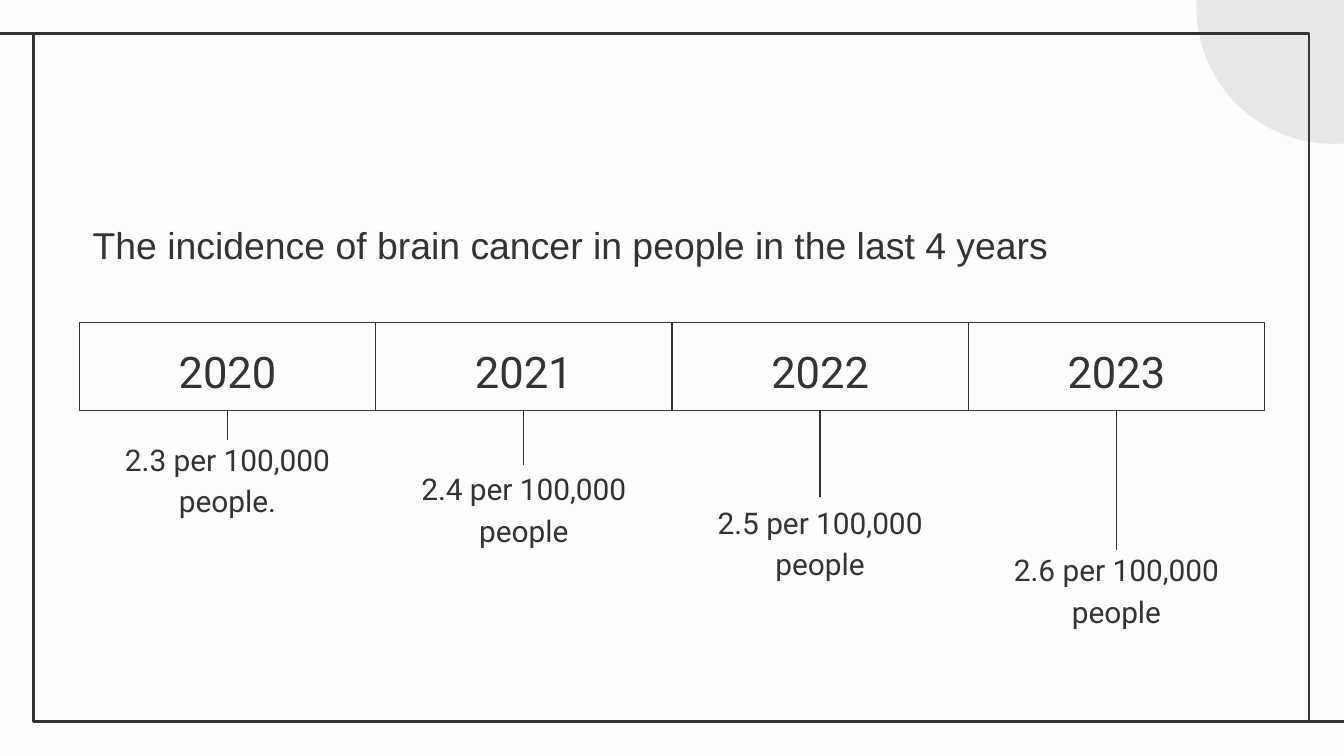
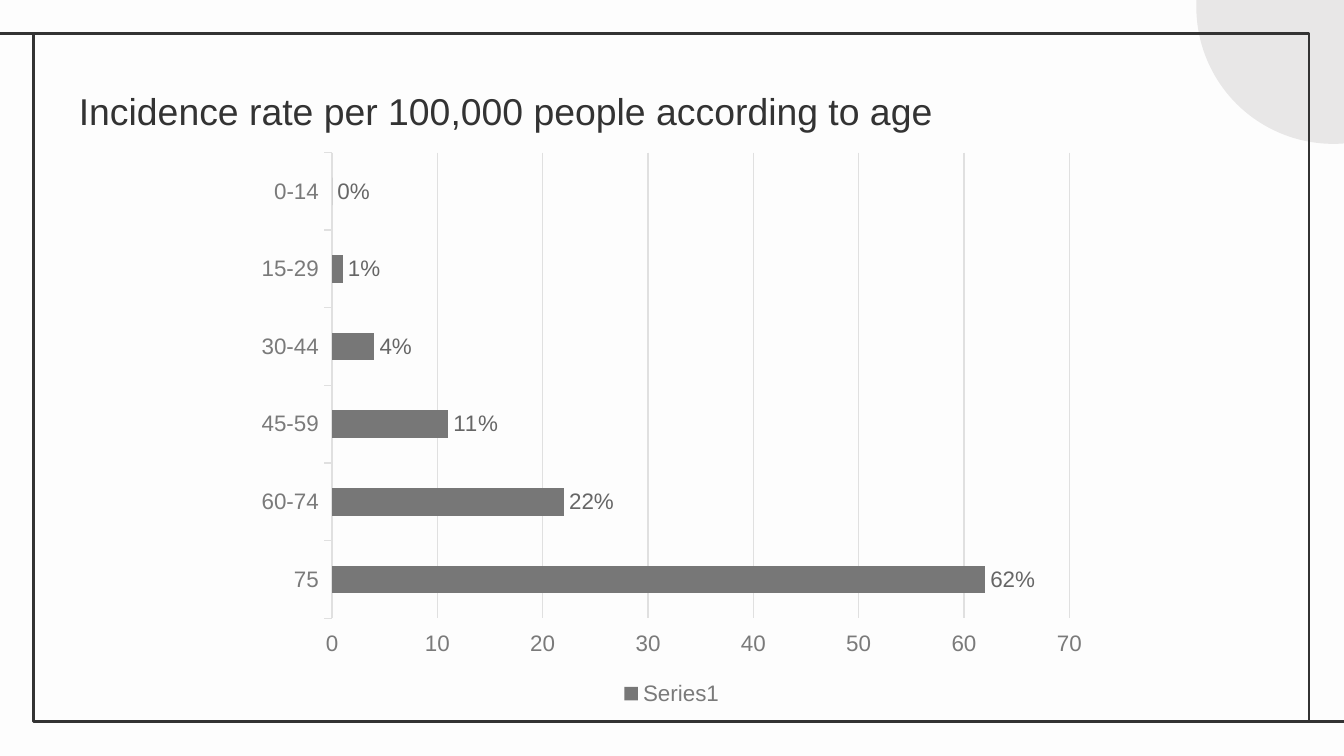
from lxml import etree
from pptx import Presentation
from pptx.chart.data import CategoryChartData
from pptx.dml.color import RGBColor
from pptx.enum.chart import XL_CHART_TYPE, XL_LABEL_POSITION, XL_LEGEND_POSITION, XL_TICK_MARK
from pptx.enum.shapes import MSO_CONNECTOR as CONNECTOR, MSO_SHAPE as SHAPE
from pptx.enum.text import MSO_ANCHOR as ANCHOR, MSO_AUTO_SIZE as AUTO_SIZE, PP_ALIGN as ALIGN
from pptx.oxml.ns import qn
from pptx.util import Cm, Pt

COLORS = {
    "background": "FDFDFD",
    "ink": "333333",
    "circle": "E8E7E7",
    "bar": "777777",
    "axis_text": "7A7A7A",
    "label_text": "666666",
    "grid": "E0E0E0",
}
TITLE_FONT = "Arial"
TIMELINE_FONT = "Roboto"

# Year, rate, bottom of the connector and top of the rate text (cm)
TIMELINE = [
    ("2020", "2.3 per 100,000 people.", 8.31, 8.23),
    ("2021", "2.4 per 100,000 people", 8.79, 8.79),
    ("2022", "2.5 per 100,000 people", 9.4, 9.42),
    ("2023", "2.6 per 100,000 people", 10.39, 10.31),
]
AGE_RATES = {"75": 62, "60-74": 22, "45-59": 11, "30-44": 4, "15-29": 1, "0-14": 0}


def rgb(name):
    return RGBColor.from_string(COLORS[name])


def set_font(font, name, size, color):
    font.name = name
    font.size = Pt(size)
    font.color.rgb = rgb(color)


def set_line(line, color, width):
    line.color.rgb = rgb(color)
    line.width = Pt(width)


def add_line(slide, x1, y1, x2, y2, width=0.75):
    line = slide.shapes.add_connector(CONNECTOR.STRAIGHT, Cm(x1), Cm(y1), Cm(x2), Cm(y2))
    set_line(line.line, "ink", width)
    etree.SubElement(line.element.spPr, qn("a:effectLst"))
    return line


def add_shape(slide, kind, left, top, width, height, fill=None, line_width=None):
    shape = slide.shapes.add_shape(kind, Cm(left), Cm(top), Cm(width), Cm(height))
    shape.shadow.inherit = False
    if fill:
        shape.fill.solid()
        shape.fill.fore_color.rgb = rgb(fill)
    else:
        shape.fill.background()
    if line_width:
        set_line(shape.line, "ink", line_width)
    else:
        shape.line.fill.background()
    return shape


def set_insets(frame, inset):
    frame.margin_left = frame.margin_right = Cm(inset)
    frame.margin_top = frame.margin_bottom = Cm(inset)


def write_centred(frame, text, size, spacing, inset):
    set_insets(frame, inset)
    frame.word_wrap = True
    paragraph = frame.paragraphs[0]
    paragraph.text = text
    paragraph.alignment = ALIGN.CENTER
    paragraph.line_spacing = Pt(spacing)
    set_font(paragraph.font, TIMELINE_FONT, size, "ink")


def move_frame_to_layout(slide):
    """Draw the corner circle and the page frame, and share them through the layout."""
    frame_parts = [
        add_shape(slide, SHAPE.OVAL, 22.61, -2.46, 5.18, 5.18, fill="circle"),
        add_shape(slide, SHAPE.RECTANGLE, 0.64, 0.64, 24.1, 13, line_width=1.5),
        add_line(slide, 0, 0.64, 0.64, 0.64, 1.5),
        add_line(slide, 24.74, 13.64, 25.4, 13.64, 1.5),
    ]
    layout_tree = slide.slide_layout.shapes.element
    for index, part in enumerate(frame_parts, start=2):
        layout_tree.insert(index, part.element)


def set_title(slide, text, left, top):
    title = slide.shapes.title
    title.left, title.top, title.width, title.height = Cm(left), Cm(top), Cm(21.41), Cm(1.6)
    frame = title.text_frame
    frame.auto_size = AUTO_SIZE.NONE
    frame.vertical_anchor = ANCHOR.TOP
    set_insets(frame, 0.25)
    paragraph = frame.paragraphs[0]
    paragraph.text = text
    paragraph.alignment = ALIGN.LEFT
    set_font(paragraph.font, TITLE_FONT, 20, "ink")


def add_timeline(slide):
    left, top, width, height, text_width = 1.5, 6.1, 5.6, 1.66, 4.57
    for index, (year, rate, line_bottom, text_top) in enumerate(TIMELINE):
        box_left = left + index * width
        centre = box_left + width / 2
        box = add_shape(slide, SHAPE.RECTANGLE, box_left, top, width, height, line_width=0.75)
        box.text_frame.vertical_anchor = ANCHOR.MIDDLE
        write_centred(box.text_frame, year, 23.3, 32.7, 0.1)
        add_line(slide, centre, top + height, centre, line_bottom)
        label = slide.shapes.add_textbox(
            Cm(centre - text_width / 2), Cm(text_top), Cm(text_width), Cm(1.35))
        write_centred(label.text_frame, rate, 16, 22.4, 0)
        label.text_frame.auto_size = AUTO_SIZE.SHAPE_TO_FIT_TEXT


def add_age_chart(slide):
    data = CategoryChartData()
    data.categories = list(AGE_RATES)
    data.add_series("Series1", list(AGE_RATES.values()))
    chart = slide.shapes.add_chart(
        XL_CHART_TYPE.BAR_CLUSTERED, Cm(4.62), Cm(2.67), Cm(16.15), Cm(10.77), data).chart
    chart.has_title = False
    set_font(chart.font, TITLE_FONT, 10, "ink")

    # Bars and their labels
    plot = chart.plots[0]
    plot.gap_width = 182
    plot.vary_by_categories = False
    fill = plot.series[0].format.fill
    fill.solid()
    fill.fore_color.rgb = rgb("bar")
    plot.has_data_labels = True
    labels = plot.data_labels
    labels.show_value = True
    labels.number_format = '0"%"'
    labels.number_format_is_linked = False
    labels.position = XL_LABEL_POSITION.OUTSIDE_END
    set_font(labels.font, TITLE_FONT, 12, "label_text")

    # Axes
    for axis in (chart.category_axis, chart.value_axis):
        axis.major_tick_mark = XL_TICK_MARK.OUTSIDE
        set_font(axis.tick_labels.font, TITLE_FONT, 12, "axis_text")
    set_line(chart.category_axis.format.line, "grid", 0.75)
    value_axis = chart.value_axis
    value_axis.minimum_scale, value_axis.maximum_scale, value_axis.major_unit = 0, 70, 10
    value_axis.format.line.fill.background()
    value_axis.has_major_gridlines = True
    set_line(value_axis.major_gridlines.format.line, "grid", 0.75)

    # Legend
    chart.has_legend = True
    chart.legend.position = XL_LEGEND_POSITION.BOTTOM
    chart.legend.include_in_layout = False
    set_font(chart.legend.font, TITLE_FONT, 12, "axis_text")


def main():
    presentation = Presentation()
    presentation.slide_width, presentation.slide_height = Cm(25.4), Cm(14.29)
    background = presentation.slide_master.background.fill
    background.solid()
    background.fore_color.rgb = rgb("background")
    title_only = presentation.slide_layouts[5]

    # Incidence by year
    slide = presentation.slides.add_slide(title_only)
    move_frame_to_layout(slide)
    set_title(slide, "The incidence of brain cancer in people in the last 4 years", 1.5, 3.94)
    add_timeline(slide)

    # Incidence by age
    slide = presentation.slides.add_slide(title_only)
    set_title(slide, "Incidence rate per 100,000 people according to age", 1.24, 1.42)
    add_age_chart(slide)

    presentation.save("out.pptx")


if __name__ == "__main__":
    main()
